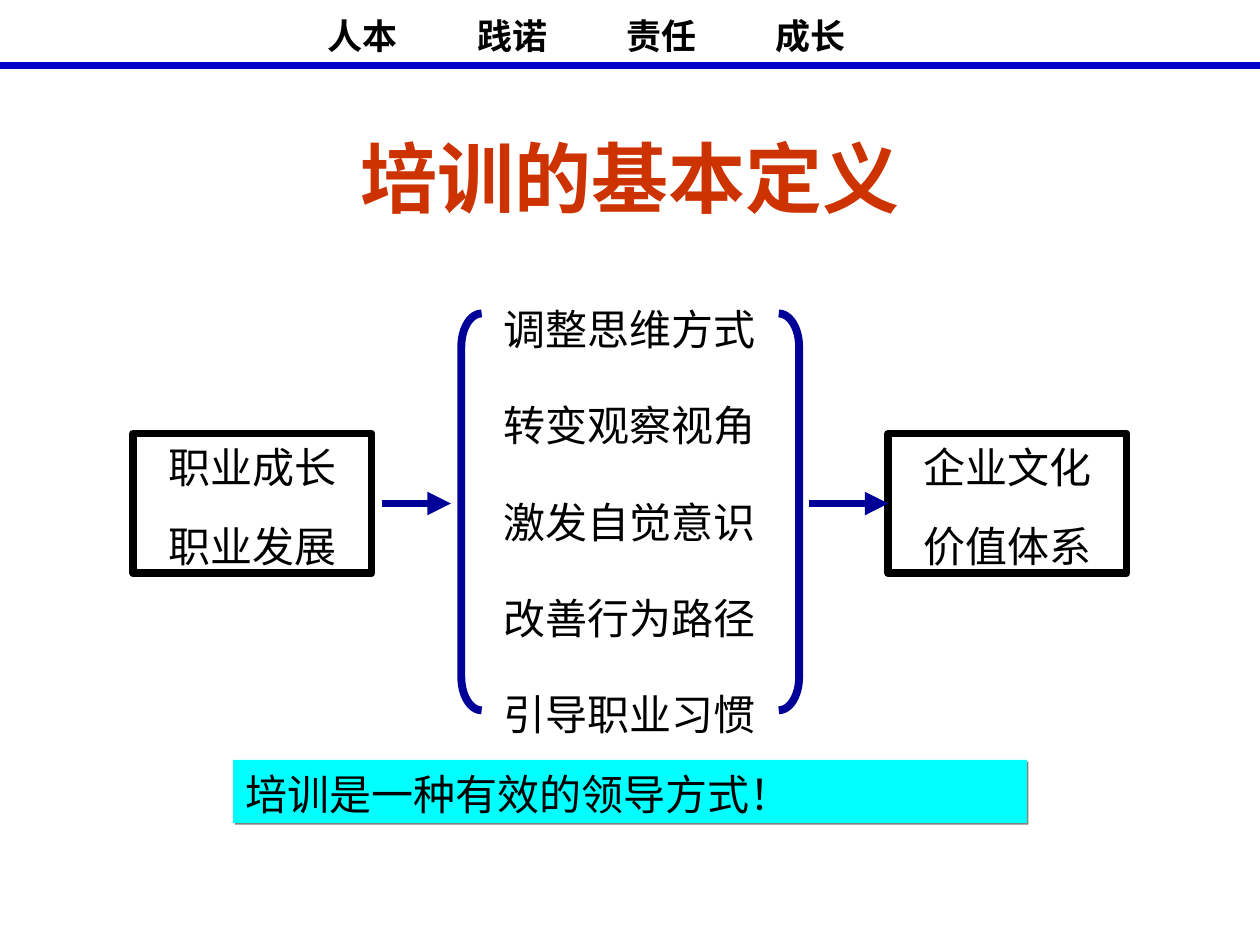
from pptx import Presentation
from pptx.dml.color import RGBColor
from pptx.enum.shapes import MSO_CONNECTOR as Link, MSO_SHAPE as Kind
from pptx.enum.text import MSO_ANCHOR as Anchor, PP_ALIGN as Align
from pptx.oxml.ns import qn
from pptx.util import Cm, Pt
from lxml.etree import SubElement as Sub

BLACK = RGBColor(0x00, 0x00, 0x00)
RED = RGBColor(0xCC, 0x33, 0x00)
BLUE = RGBColor(0x00, 0x00, 0xCC)
NAVY = RGBColor(0x00, 0x00, 0x99)
CYAN = RGBColor(0x00, 0xFF, 0xFF)
HAN = "Noto Sans CJK SC"


def write(frame, lines, size=24, face="Arial", color=BLACK, bold=False,
          align=Align.CENTER, lead=None, anchor=Anchor.TOP):
    frame.word_wrap = True
    frame.vertical_anchor = anchor
    for i, line in enumerate(lines):
        para = frame.add_paragraph() if i else frame.paragraphs[0]
        para.alignment = align
        para.space_before = Pt(15 if i else 0)
        if lead:
            para.line_spacing = Pt(lead)
        run = para.add_run()
        run.text = line
        font = run.font
        font.size, font.bold, font.name = Pt(size), bold, face
        font.color.rgb = color
        Sub(font._element, qn("a:ea"), typeface=HAN)


def link(x1, x2, y, color, arrow=False):
    line = slide.shapes.add_connector(Link.STRAIGHT, Cm(x1), Cm(y), Cm(x2), Cm(y))
    line.line.color.rgb = color
    line.line.width = Pt(4.5)
    if arrow:
        Sub(line.line._get_or_add_ln(), qn("a:tailEnd"), type="triangle")
    Sub(line._element.spPr, qn("a:effectLst"))
    return line


deck = Presentation()
deck.slide_width, deck.slide_height = Cm(25.4), Cm(19.05)
slide = deck.slides.add_slide(deck.slide_layouts[5])
shapes = slide.shapes

# Header words on even tab stops, with a rule below
head = shapes.add_textbox(Cm(1.3), Cm(0.13), Cm(22.81), Cm(1.12)).text_frame
head.margin_left = Cm(5.31)
write(head, ["人本\t践诺\t责任\t成长"], 20, HAN, bold=True, align=Align.LEFT, lead=25)
tabs = Sub(head.paragraphs[0]._p.get_or_add_pPr(), qn("a:tabLst"))
for i in range(1, 4):
    Sub(tabs, qn("a:tab"), pos=str(Cm(3.01 * i)), algn="l")
link(0, 25.4, 1.32, BLUE)

# Title
title = shapes.title
title.left, title.top, title.width, title.height = Cm(1.27), Cm(2.31), Cm(22.86), Cm(2.51)
write(title.text_frame, ["培训的基本定义"], 44, color=RED, bold=True, anchor=Anchor.MIDDLE)

# Middle list
goals = shapes.add_textbox(Cm(8.79), Cm(5.6), Cm(7.8), Cm(9.5)).text_frame
write(goals, ["调整思维方式", "转变观察视角", "激发自觉意识", "改善行为路径", "引导职业习惯"],
      face=HAN, lead=40)

# Brackets around the list
for kind, x in ((Kind.LEFT_BRACKET, 9.3), (Kind.RIGHT_BRACKET, 15.7)):
    side = shapes.add_shape(kind, Cm(x), Cm(6.32), Cm(0.41), Cm(8))
    side.adjustments[0] = 1.63
    side.fill.background()
    side.line.color.rgb = NAVY
    side.line.width = Pt(4.5)
    side.shadow.inherit = False

# Framed boxes at both ends
for x, lines in ((2.69, ["职业成长", "职业发展"]), (17.91, ["企业文化", "价值体系"])):
    box = shapes.add_shape(Kind.RECTANGLE, Cm(x), Cm(8.74), Cm(4.8), Cm(2.82))
    box.fill.background()
    box.line.color.rgb = BLACK
    box.line.width = Pt(4.5)
    box.shadow.inherit = False
    write(box.text_frame, lines, lead=30)

# Arrows; the second one ends on the right-hand box
link(7.7, 9.09, 10.15, NAVY, arrow=True)
link(16.31, 17.91, 10.15, NAVY, arrow=True).end_connect(box, 1)

# Closing bar with a thin grey shadow
bar = shapes.add_shape(Kind.RECTANGLE, Cm(4.7), Cm(15.32), Cm(16), Cm(1.27))
bar.fill.solid()
bar.fill.fore_color.rgb = CYAN
bar.line.fill.background()
bar.shadow.inherit = False
shade = Sub(bar._element.spPr.find(qn("a:effectLst")), qn("a:outerShdw"),
            dist=str(Pt(1.4)), dir="2700000", algn="ctr", rotWithShape="0")
Sub(shade, qn("a:srgbClr"), val="808080")
write(bar.text_frame, ["培训是一种有效的领导方式！"], align=Align.LEFT, lead=30)

deck.save("out.pptx")
